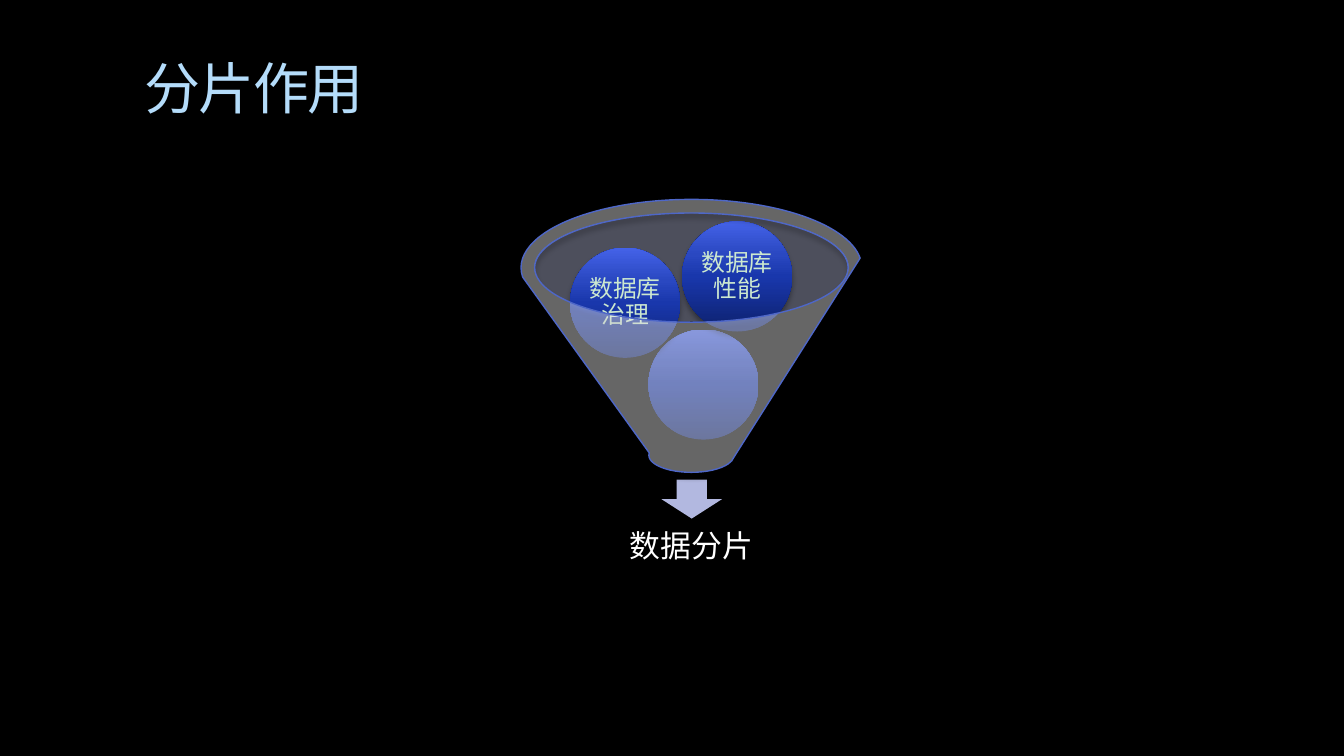
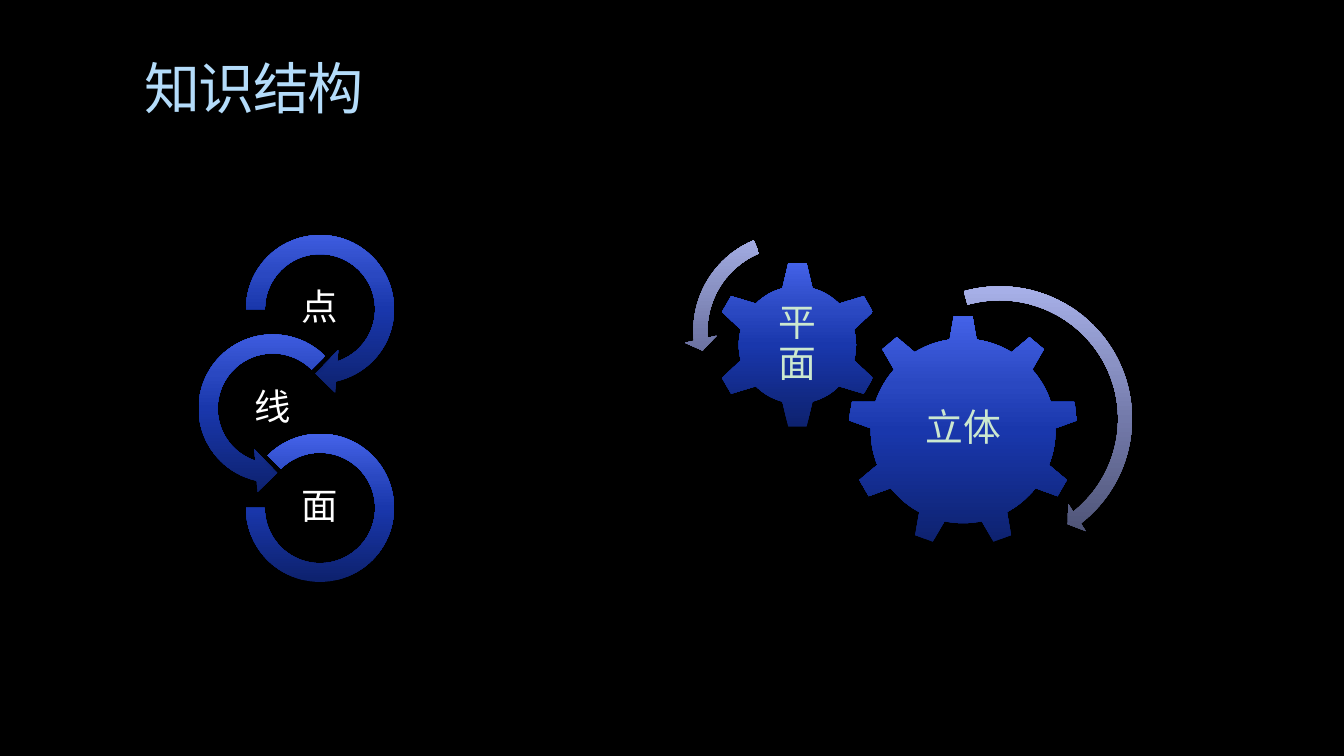
from dataclasses import dataclass

from lxml import etree
from pptx import Presentation
from pptx.dml.color import RGBColor
from pptx.enum.shapes import MSO_SHAPE
from pptx.enum.text import MSO_ANCHOR, PP_ALIGN
from pptx.oxml.ns import qn
from pptx.shapes.autoshape import Shape
from pptx.slide import Slide
from pptx.text.text import TextFrame
from pptx.util import Pt

BLANK_LAYOUT = 6
ELLIPSE = MSO_SHAPE.OVAL
DOWN_ARROW = MSO_SHAPE.DOWN_ARROW
FUNNEL = MSO_SHAPE.FUNNEL
CIRCULAR_ARROW = MSO_SHAPE.CIRCULAR_ARROW
LEFT_CIRCULAR_ARROW = MSO_SHAPE.LEFT_CIRCULAR_ARROW
BLOCK_ARC = MSO_SHAPE.BLOCK_ARC
GEAR_SIX = MSO_SHAPE.GEAR_6
GEAR_NINE = MSO_SHAPE.GEAR_9
TOP = MSO_ANCHOR.TOP
MIDDLE = MSO_ANCHOR.MIDDLE
LEFT = PP_ALIGN.LEFT
CENTER = PP_ALIGN.CENTER

Gradient = tuple[tuple[int, str], ...]


@dataclass(frozen=True)
class Theme:
    background: str = "000000"
    title: str = "B4DCFA"
    white: str = "FFFFFF"
    pale_green: str = "CCE8CF"
    mouth: str = "C2C7E6"
    down_arrow: str = "B2B8E0"
    outline: str = "4E67C8"
    blue: Gradient = ((0, "0D216D"), (50, "1937AC"), (70, "2A48C1"), (100, "4462E8"))
    lavender: Gradient = ((0, "464B6A"), (50, "737AAA"), (70, "8A92C4"), (100, "ABB4ED"))
    title_font: str = "Noto Sans CJK SC"
    label_font: str = "Arial"
    title_size: int = 40
    result_size: int = 22
    ball_size: int = 17
    ring_size: int = 26
    gear_size: int = 27


THEME = Theme()


@dataclass(frozen=True)
class Box:
    left: float
    top: float
    width: float
    height: float

    def lengths(self) -> list[int]:
        return [Pt(value) for value in (self.left, self.top, self.width, self.height)]


@dataclass(frozen=True)
class TextStyle:
    size: int
    color: str
    font: str = THEME.label_font
    align: PP_ALIGN = CENTER
    anchor: MSO_ANCHOR = MIDDLE
    inset: tuple[float, float] = (1.4, 1.4)
    spacing: int = 0


@dataclass(frozen=True)
class Figure:
    kind: MSO_SHAPE
    box: Box
    fill: str | Gradient
    adjustments: tuple[float, ...] = ()
    opacity: int = 100
    line: str = ""
    shadow: tuple[int, int, int] | None = (35, 4, 3)
    text: str = ""
    style: TextStyle | None = None


@dataclass(frozen=True)
class Ring:
    kind: MSO_SHAPE
    center_x: float
    diameter: float
    adjustments: tuple[float, ...]
    label: str


TITLE_BOX = Box(96, 40, 816, 72)
TITLE_STYLE = TextStyle(THEME.title_size, THEME.title, THEME.title_font,
                        LEFT, TOP, (7.2, 3.6), -100)
RESULT_STYLE = TextStyle(THEME.result_size, THEME.white, inset=(12.2, 12.2))
BALL_STYLE = TextStyle(THEME.ball_size, THEME.pale_green)
RING_STYLE = TextStyle(THEME.ring_size, THEME.white)
GEAR_STYLE = TextStyle(THEME.gear_size, THEME.pale_green, inset=(2.7, 2.7))


def square(left: float, top: float, side: float) -> Box:
    return Box(left, top, side, side)


def centered(x: float, y: float, width: float, height: float) -> Box:
    return Box(x - width / 2, y - height / 2, width, height)


def apply_formats(target: object, formats: dict[str, object]) -> None:
    for name, value in formats.items():
        setattr(target, name, value)


def add_color(parent: etree._Element, color: str, opacity: int) -> None:
    element = etree.SubElement(parent, qn("a:srgbClr"), val=color)
    if opacity < 100:
        etree.SubElement(element, qn("a:alpha"), val=str(opacity * 1000))


def write_text(frame: TextFrame, text: str, style: TextStyle) -> None:
    horizontal, vertical = (Pt(value) for value in style.inset)
    apply_formats(frame, {
        "word_wrap": True, "vertical_anchor": style.anchor,
        "margin_left": horizontal, "margin_right": horizontal,
        "margin_top": vertical, "margin_bottom": vertical,
    })
    paragraph = frame.paragraphs[0]
    apply_formats(paragraph, {"alignment": style.align, "line_spacing": 0.9})
    run = paragraph.add_run()
    run.text = text
    apply_formats(run.font, {"name": style.font, "size": Pt(style.size)})
    run.font.color.rgb = RGBColor.from_string(style.color)
    properties = run.font._element
    etree.SubElement(properties, qn("a:ea"), typeface=THEME.title_font)
    if style.spacing:
        properties.set("spc", str(style.spacing))


def add_label(slide: Slide, box: Box, text: str, style: TextStyle) -> None:
    write_text(slide.shapes.add_textbox(*box.lengths()).text_frame, text, style)


def paint(shape: Shape, fill: str | Gradient, opacity: int) -> None:
    if isinstance(fill, str):
        shape.fill.solid()
        shape.fill.fore_color.rgb = RGBColor.from_string(fill)
        if opacity < 100:
            color = shape.fill._xPr.find(qn("a:solidFill"))[0]
            etree.SubElement(color, qn("a:alpha"), val=str(opacity * 1000))
        return
    shape.fill.gradient()
    shape.fill.gradient_angle = 90
    stops = shape.fill._xPr.find(qn("a:gradFill")).find(qn("a:gsLst"))
    for stop in list(stops):
        stops.remove(stop)
    for position, color in fill:
        stop = etree.SubElement(stops, qn("a:gs"), pos=str(position * 1000))
        add_color(stop, color, 100)


def cast_shadow(shape: Shape, opacity: int, blur: int, distance: int) -> None:
    effects = shape._element.spPr.find(qn("a:effectLst"))
    shadow = etree.SubElement(effects, qn("a:outerShdw"), blurRad=str(Pt(blur)),
                              dist=str(Pt(distance)), dir="5400000", rotWithShape="0")
    add_color(shadow, "000000", opacity)


def add_figure(slide: Slide, figure: Figure) -> None:
    shape = slide.shapes.add_shape(figure.kind, *figure.box.lengths())
    for index, value in enumerate(figure.adjustments):
        shape.adjustments[index] = value
    paint(shape, figure.fill, figure.opacity)
    if figure.line:
        shape.line.color.rgb = RGBColor.from_string(figure.line)
        shape.line.width = Pt(1)
    else:
        shape.line.fill.background()
    shape.shadow.inherit = False
    if figure.shadow:
        cast_shadow(shape, *figure.shadow)
    if figure.style:
        write_text(shape.text_frame, figure.text, figure.style)


def add_slide(presentation: Presentation, title: str) -> Slide:
    slide = presentation.slides.add_slide(presentation.slide_layouts[BLANK_LAYOUT])
    slide.background.fill.solid()
    slide.background.fill.fore_color.rgb = RGBColor.from_string(THEME.background)
    add_label(slide, TITLE_BOX, title, TITLE_STYLE)
    return slide


def build_funnel_slide(presentation: Presentation) -> None:
    slide = add_slide(presentation, "分片作用")
    ball = 78.6
    figures = (
        Figure(ELLIPSE, Box(381.6, 152, 224.6, 77.8), THEME.mouth, opacity=40, shadow=None),
        Figure(DOWN_ARROW, Box(472.4, 342.6, 43.4, 27.8), THEME.down_arrow, shadow=(45, 5, 3)),
        Figure(ELLIPSE, square(463.2, 235.4, ball), THEME.blue),
        Figure(ELLIPSE, square(407.2, 177, ball), THEME.blue,
               text="数据库治理", style=BALL_STYLE),
        Figure(ELLIPSE, square(487.2, 158.2, ball), THEME.blue,
               text="数据库性能", style=BALL_STYLE),
        Figure(FUNNEL, Box(372.2, 142.4, 243.4, 195), THEME.white, opacity=40,
               line=THEME.outline),
    )
    for figure in figures:
        add_figure(slide, figure)
    add_label(slide, Box(389.6, 365, 208.6, 52), "数据分片", RESULT_STYLE)


def build_structure_slide(presentation: Presentation) -> None:
    slide = add_slide(presentation, "知识结构")
    first_center, ring_step = 220.8, 71
    rings = (
        Ring(CIRCULAR_ARROW, 228.6, 123, (0.11, 11.42, 45, 108, 0.125), "点"),
        Ring(LEFT_CIRCULAR_ARROW, 194.8, 123, (0.11, 11.42, 63, 189, 0.125), "线"),
        Ring(BLOCK_ARC, 228.6, 105.8, (135, 108, 0.127), "面"),
    )
    for index, ring in enumerate(rings):
        center_y = first_center + index * ring_step
        box = centered(ring.center_x, center_y, ring.diameter, ring.diameter)
        add_figure(slide, Figure(ring.kind, box, THEME.blue, ring.adjustments))
        label_box = centered(ring.center_x, center_y, 68.4, 34.4)
        add_label(slide, label_box, ring.label, RING_STYLE)

    gears = (
        Figure(GEAR_NINE, square(605.6, 225.4, 164.8), THEME.blue,
               text="立体", style=GEAR_STYLE),
        Figure(GEAR_SIX, square(509.8, 186.6, 119.6), THEME.blue,
               text="平面", style=GEAR_STYLE),
        Figure(CIRCULAR_ARROW, square(612.8, 198, 202.4), THEME.lavender,
               (0.049, 3.13, 31.12, 152.64, 0.057)),
        Figure(LEFT_CIRCULAR_ARROW, square(488.8, 159.8, 153.4), THEME.lavender,
               (0.065, 4.3, 104.89, 148.38, 0.075)),
    )
    for gear in gears:
        add_figure(slide, gear)


def main() -> None:
    presentation = Presentation()
    apply_formats(presentation, {"slide_width": Pt(960), "slide_height": Pt(540)})
    build_funnel_slide(presentation)
    build_structure_slide(presentation)
    presentation.save("out.pptx")


if __name__ == "__main__":
    main()
